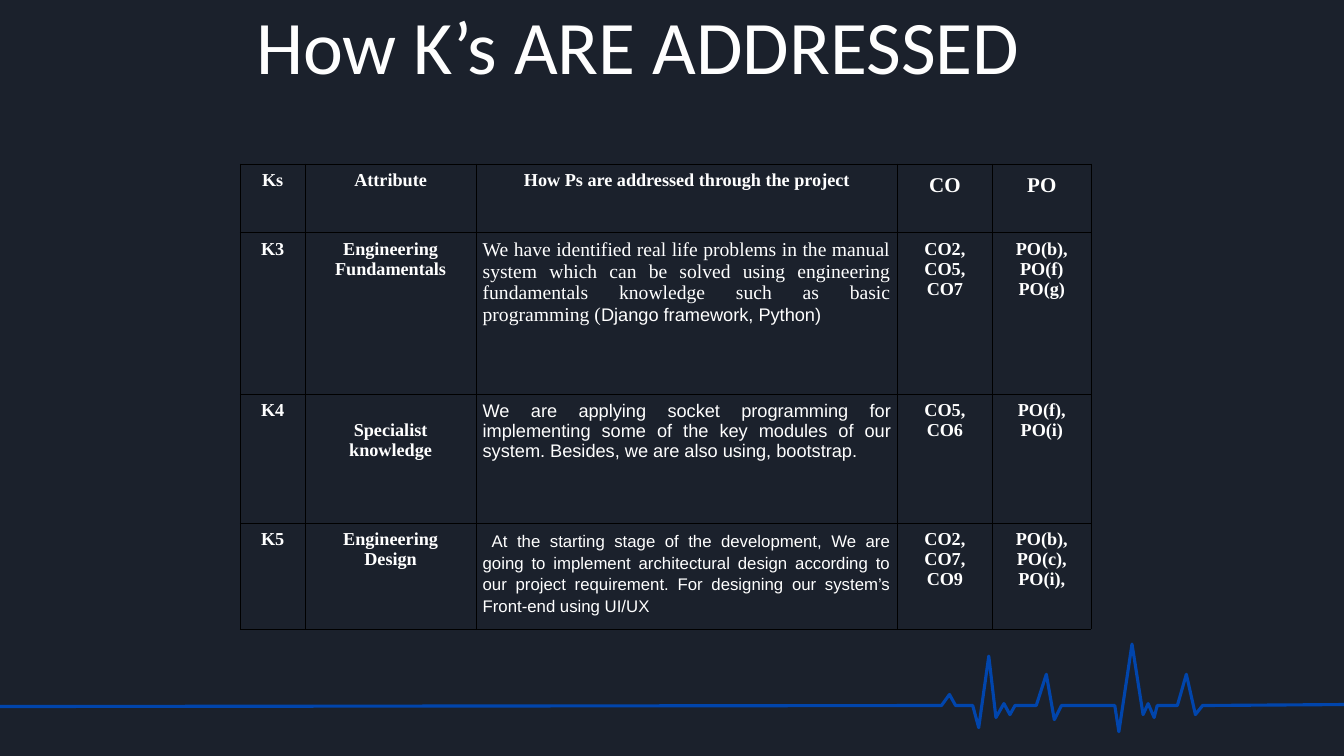
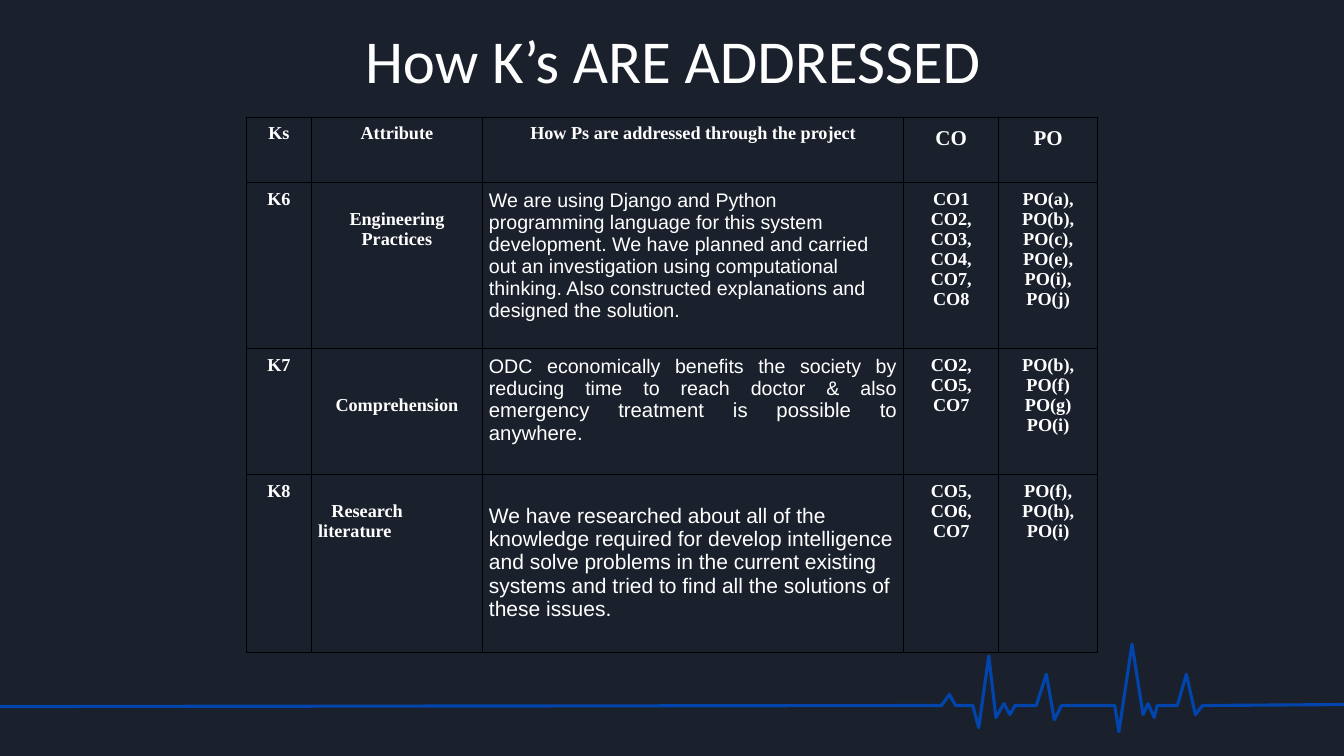
from pptx import Presentation
from pptx.dml.color import RGBColor
from pptx.enum.text import MSO_ANCHOR, PP_ALIGN
from pptx.oxml import parse_xml
from pptx.oxml.ns import nsdecls
from pptx.util import Pt

NAVY = RGBColor(0x1B, 0x21, 0x2C)
PULSE_BLUE = RGBColor(0x01, 0x45, 0xAC)
TITLE_WHITE = RGBColor(0xFE, 0xFE, 0xFE)
WHITE = RGBColor(0xFF, 0xFF, 0xFF)
BLACK = RGBColor(0x00, 0x00, 0x00)

SERIF, SANS, TITLE_FONT = "Times New Roman", "Arial", "Calibri"
TITLE = "How K’s ARE ADDRESSED"
HEADINGS = ["Ks", "Attribute", "How Ps are addressed through the project", "CO", "PO"]
COLUMN_WIDTHS = [46.5, 122, 301, 68, 70.5]
CELL_MARGIN = 4.8
LINE = 14.3  # height of one line of label text

PULSE_POINTS = [
    (960, 503.3), (859, 504), (853.9, 510.5), (847.4, 481.7), (841, 504),
    (826.6, 504), (824.4, 512.6), (820.1, 502.6), (816.5, 510.5), (808.6, 460.1),
    (799.2, 522.7), (796.3, 504), (758.2, 504), (753.1, 514.1), (747.4, 481.7),
    (740.2, 504), (725, 504), (721.4, 510.5), (717.1, 502.6), (711.4, 512.6),
    (706.3, 468.7), (699.1, 519.8), (694.8, 504), (682.6, 504), (678.2, 496.1),
    (672.5, 504), (0, 504.7),
]


def write(frame, text, tail=None, font=SERIF, size=13, bold=True, color=WHITE,
          align=PP_ALIGN.CENTER, spacing=None, indent=0):
    """Write one paragraph per line of text; tail is a last run as (text, font, size)."""
    for number, line in enumerate(text.split("\n")):
        paragraph = frame.add_paragraph() if number else frame.paragraphs[0]
        paragraph.alignment = align
        if spacing:
            paragraph.line_spacing = spacing
        if indent:
            properties = paragraph._p.get_or_add_pPr()
            properties.set("marL", "0")
            properties.set("indent", str(Pt(indent)))
        runs = [(line, font, size)] + ([tail] if tail else [])
        for run_text, run_font, run_size in runs:
            run = paragraph.add_run()
            run.text = run_text
            run.font.name = run_font
            run.font.size = Pt(run_size)
            run.font.bold = bold
            run.font.color.rgb = color


def add_borders(cell):
    properties = cell._tc.get_or_add_tcPr()
    for position, side in enumerate(("lnL", "lnR", "lnT", "lnB")):
        properties.insert(position, parse_xml(
            f'<a:{side} {nsdecls("a")} w="{Pt(0.5)}"><a:solidFill>'
            f'<a:srgbClr val="{BLACK}"/></a:solidFill></a:{side}>'))


class Deck:
    def __init__(self):
        self.presentation = Presentation()
        self.presentation.slide_width = Pt(960)
        self.presentation.slide_height = Pt(540)
        background = self.presentation.slide_master.background.fill
        background.solid()
        background.fore_color.rgb = NAVY
        self.slide = None

    def add_slide(self):
        self.slide = self.presentation.slides.add_slide(self.presentation.slide_layouts[6])
        self.add_pulse()

    def add_pulse(self):
        points = [(Pt(x), Pt(y)) for x, y in PULSE_POINTS]
        builder = self.slide.shapes.build_freeform(*points[0])
        builder.add_line_segments(points[1:], close=False)
        shape = builder.convert_to_shape()
        shape.shadow.inherit = False
        shape.fill.background()
        shape.line.color.rgb = PULSE_BLUE
        shape.line.width = Pt(2.25)

    def add_title(self, left, top, size, spacing):
        box = self.slide.shapes.add_textbox(Pt(left), Pt(top), Pt(911.5), Pt(57))
        frame = box.text_frame
        frame.word_wrap = True
        frame.vertical_anchor = MSO_ANCHOR.MIDDLE
        write(frame, TITLE, font=TITLE_FONT, size=size, bold=False,
              color=TITLE_WHITE, spacing=spacing)

    def add_table(self, left, top, row_heights, rows):
        table = self.slide.shapes.add_table(
            len(row_heights), len(COLUMN_WIDTHS), Pt(left), Pt(top),
            Pt(sum(COLUMN_WIDTHS)), Pt(sum(row_heights))).table
        table.first_row = table.horz_banding = False
        for column, width in zip(table.columns, COLUMN_WIDTHS):
            column.width = Pt(width)
        for row, height in zip(table.rows, row_heights):
            row.height = Pt(height)
        header = [label(text) for text in HEADINGS[:3]]
        header += [label(text, size=15, spacing=1.15) for text in HEADINGS[3:]]
        for row, contents in zip(table.rows, [header] + rows):
            for cell, content in zip(row.cells, contents):
                self.fill_cell(cell, **content)

    def fill_cell(self, cell, text, drop=0, right=CELL_MARGIN, **text_format):
        """Fill a cell; drop lowers its text, right is its right margin."""
        cell.margin_left = cell.margin_bottom = Pt(CELL_MARGIN)
        cell.margin_right = Pt(right)
        cell.margin_top = Pt(CELL_MARGIN + drop)
        cell.fill.background()
        add_borders(cell)
        write(cell.text_frame, text, **text_format)


def label(text, **options):
    return dict(text=text, **options)


def body(text, font=SANS, align=PP_ALIGN.JUSTIFY, **options):
    return dict(text=text, font=font, align=align, bold=False, **options)


FIRST_ROWS = [
    [label("K3"), label("Engineering Fundamentals"),
     body("We have identified real life problems in the manual system which can be "
          "solved using engineering fundamentals knowledge such as basic programming (",
          font=SERIF, size=14, tail=("Django framework, Python)", SANS, 13)),
     label("CO2,\nCO5,\nCO7"), label("PO(b),\nPO(f)\nPO(g)")],
    [label("K4"), label("Specialist knowledge", drop=LINE),
     body("We are applying socket programming for implementing some of the key modules "
          "of our system. Besides, we are also using, bootstrap."),
     label("CO5,\nCO6"), label("PO(f),\nPO(i)")],
    [label("K5"), label("Engineering\nDesign"),
     body("At the starting stage of the development, We are going to implement "
          "architectural design according to our project requirement. For designing "
          "our system’s Front-end using UI/UX", size=12, spacing=1.15, indent=6.5),
     label("CO2,\nCO7,\nCO9"), label("PO(b),\nPO(c),\nPO(i),")],
]

SECOND_ROWS = [
    [label("K6"), label("Engineering Practices", drop=LINE),
     body("We are using Django and Python programming language for this system "
          "development. We have planned and carried out an investigation using "
          "computational thinking. Also constructed explanations and designed the "
          "solution.", size=14, align=PP_ALIGN.LEFT),
     label("CO1\nCO2,\nCO3,\nCO4,\nCO7,\nCO8"),
     label("PO(a),\nPO(b),\nPO(c),\nPO(e),\nPO(i),\nPO(j)")],
    [label("K7"), label("Comprehension", drop=2 * LINE),
     body("ODC economically benefits the society by reducing time to reach doctor & also ",
          size=14, tail=("emergency treatment is possible to anywhere.", SANS, 14.5)),
     label("CO2,\nCO5,\nCO7"), label("PO(b),\nPO(f)\nPO(g)\nPO(i)")],
    [label("K8"),
     label("Research literature", drop=LINE, align=PP_ALIGN.LEFT, indent=9.5, right=20),
     body("We have researched about all of the knowledge required for develop "
          "intelligence and solve problems in the current existing systems and tried "
          "to find all the solutions of these issues.",
          size=15, drop=16.4, align=PP_ALIGN.LEFT),
     label("CO5,\nCO6,\nCO7"), label("PO(f),\nPO(h),\nPO(i)")],
]


def main():
    deck = Deck()
    deck.add_slide()
    deck.add_title(0, 11, size=54, spacing=0.7)
    deck.add_table(171.5, 117, [49, 115.5, 92, 73], FIRST_ROWS)
    deck.add_slide()
    deck.add_title(25, 18.5, size=43.5, spacing=0.8)
    deck.add_table(176, 83.5, [47, 118.5, 90, 127], SECOND_ROWS)
    deck.presentation.save("out.pptx")


if __name__ == "__main__":
    main()
